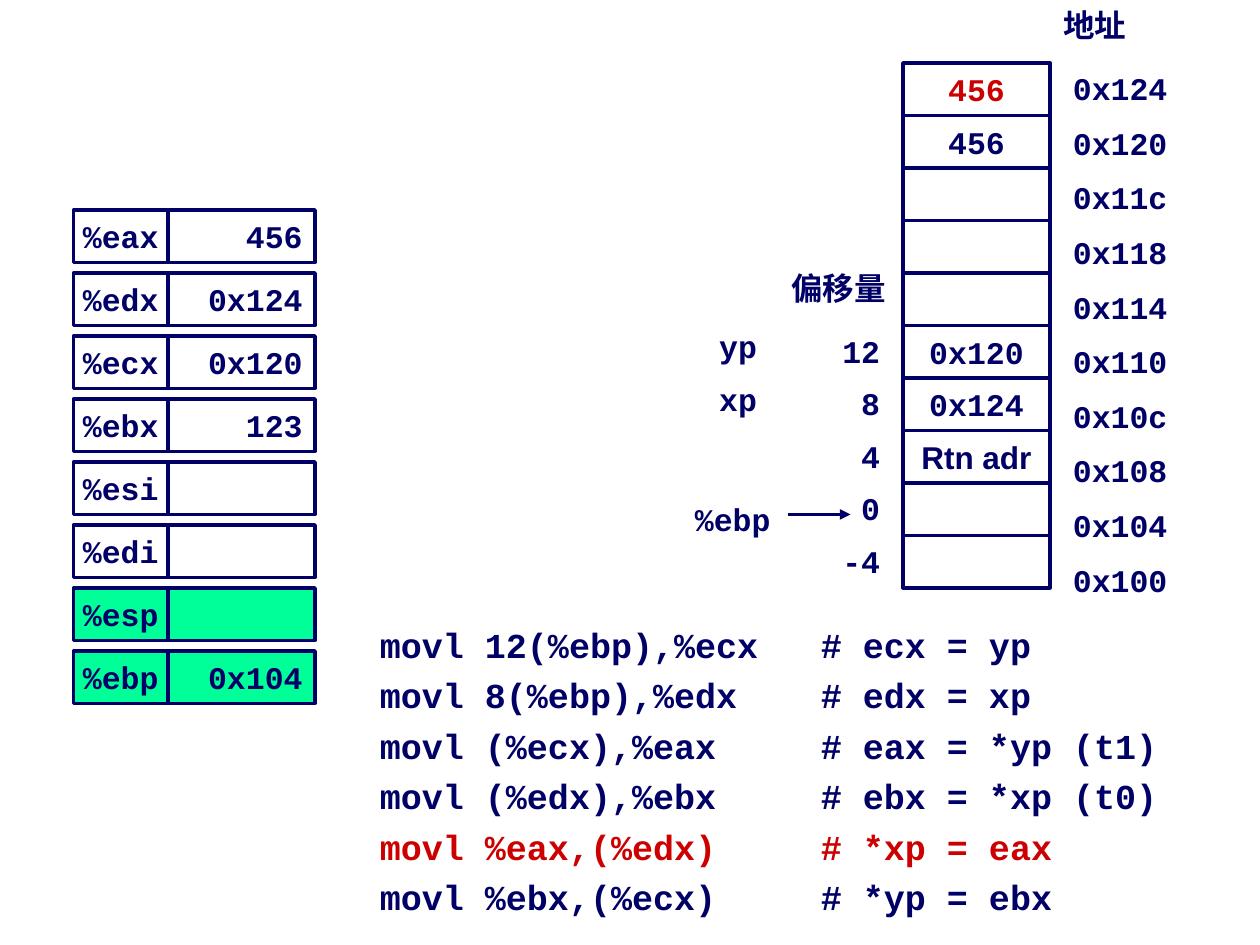
from dataclasses import dataclass

from lxml import etree
from pptx import Presentation
from pptx.dml.color import RGBColor
from pptx.enum.shapes import MSO_CONNECTOR, MSO_SHAPE
from pptx.enum.text import MSO_ANCHOR, PP_ALIGN
from pptx.oxml.ns import qn
from pptx.shapes.autoshape import Shape
from pptx.slide import Slide
from pptx.util import Emu, Pt

LEFT, CENTER, RIGHT = PP_ALIGN.LEFT, PP_ALIGN.CENTER, PP_ALIGN.RIGHT
TOP, MIDDLE = MSO_ANCHOR.TOP, MSO_ANCHOR.MIDDLE
RECTANGLE = MSO_SHAPE.RECTANGLE
STRAIGHT = MSO_CONNECTOR.STRAIGHT
EMU_PER_PX = 7620  # 120 px to the inch


@dataclass(frozen=True)
class Theme:
    navy: RGBColor = RGBColor(0x00, 0x00, 0x66)
    red: RGBColor = RGBColor(0xCC, 0x00, 0x00)
    white: RGBColor = RGBColor(0xFF, 0xFF, 0xFF)
    green: RGBColor = RGBColor(0x00, 0xFF, 0x99)
    mono: str = "Courier New"
    sans: str = "Arial"
    label_size: int = 18
    code_size: int = 20
    line_width: int = 2


THEME = Theme()


@dataclass(frozen=True)
class Register:
    name: str
    value: str = ""
    fill: RGBColor = THEME.white


@dataclass(frozen=True)
class StackWord:
    value: str = ""
    offset: str = ""
    argument: str = ""
    font: str = THEME.mono
    color: RGBColor = THEME.navy


@dataclass(frozen=True)
class Instruction:
    code: str
    comment: str
    color: RGBColor = THEME.navy


REGISTERS = [
    Register("%eax", "456"),
    Register("%edx", "0x124"),
    Register("%ecx", "0x120"),
    Register("%ebx", "123"),
    Register("%esi"),
    Register("%edi"),
    Register("%esp", fill=THEME.green),
    Register("%ebp", "0x104", THEME.green),
]
STACK = [
    StackWord("456", color=THEME.red),
    StackWord("456"),
    StackWord(),
    StackWord(),
    StackWord(),
    StackWord("0x120", "12", "yp"),
    StackWord("0x124", "8", "xp"),
    StackWord("Rtn adr", "4", font=THEME.sans),
    StackWord(offset="0"),
    StackWord(offset="-4"),
]
PROGRAM = [
    Instruction("movl 12(%ebp),%ecx", "# ecx = yp"),
    Instruction("movl 8(%ebp),%edx", "# edx = xp"),
    Instruction("movl (%ecx),%eax", "# eax = *yp (t1)"),
    Instruction("movl (%edx),%ebx", "# ebx = *xp (t0)"),
    Instruction("movl %eax,(%edx)", "# *xp = eax", THEME.red),
    Instruction("movl %ebx,(%ecx)", "# *yp = ebx"),
]
TOP_ADDRESS = 0x124
WORD_BYTES = 4
CELL_HEIGHT = 50
REGISTER_PITCH = 60
ADDRESS_PITCH = 52
CODE_TABS = (60, 480)


def px(length: int) -> Emu:
    return Emu(length * EMU_PER_PX)


def write(shape: Shape, text: str, *, font: str = THEME.mono, size: int = THEME.label_size,
          color: RGBColor = THEME.navy, align: PP_ALIGN = LEFT, anchor: MSO_ANCHOR = TOP,
          spacing: float = 1.0, wrap: bool = True, append: bool = False) -> None:
    """Put one formatted paragraph in a shape, after the others if append is set."""
    frame = shape.text_frame
    frame.word_wrap = wrap
    frame.vertical_anchor = anchor
    para = frame.add_paragraph() if append else frame.paragraphs[0]
    para.alignment = align
    para.line_spacing = spacing
    span = para.add_run()
    span.text = text
    span.font.name = font
    span.font.size = Pt(size)
    span.font.bold = True
    span.font.color.rgb = color


def add_box(page: Slide, left: int, top: int, width: int, height: int = 48) -> Shape:
    return page.shapes.add_textbox(px(left), px(top), px(width), px(height))


def add_cell(page: Slide, left: int, top: int, width: int, text: str = "", *,
             fill: RGBColor = THEME.white, **text_format) -> None:
    cell = page.shapes.add_shape(RECTANGLE, px(left), px(top), px(width), px(CELL_HEIGHT))
    cell.shadow.inherit = False
    cell.fill.solid()
    cell.fill.fore_color.rgb = fill
    cell.line.color.rgb = THEME.navy
    cell.line.width = Pt(THEME.line_width)
    if text:
        write(cell, text, anchor=MIDDLE, wrap=False, **text_format)


def add_arrow(page: Slide, left: int, right: int, y: int) -> None:
    arrow = page.shapes.add_connector(STRAIGHT, px(left), px(y), px(right), px(y))
    arrow.line.color.rgb = THEME.navy
    arrow.line.width = Pt(THEME.line_width)
    etree.SubElement(arrow.line._get_or_add_ln(), qn("a:tailEnd"), type="triangle")
    etree.SubElement(arrow._element.spPr, qn("a:effectLst"))


def draw_registers(page: Slide) -> None:
    for row, register in enumerate(REGISTERS):
        top = 200 + row * REGISTER_PITCH
        add_cell(page, 70, top, 90, register.name, fill=register.fill, align=CENTER)
        add_cell(page, 160, top, 140, register.value, fill=register.fill, align=RIGHT)


def draw_stack(page: Slide) -> None:
    write(add_box(page, 1001, 0, 100), "地址", font=THEME.sans)
    write(add_box(page, 742, 250, 120), "偏移量", font=THEME.sans)
    for row, word in enumerate(STACK):
        top = 60 + row * CELL_HEIGHT
        add_cell(page, 860, top, 140, word.value, font=word.font,
                 color=word.color, align=CENTER)
        address = f"0x{TOP_ADDRESS - row * WORD_BYTES:x}"
        write(add_box(page, 1010, 60 + row * ADDRESS_PITCH, 160), address)
        if word.offset:
            write(add_box(page, 780, top, 70), word.offset, align=RIGHT)
        if word.argument:
            write(add_box(page, 660, top, 86, 44), word.argument, align=CENTER, spacing=0.9)
    write(add_box(page, 650, 470, 100), "%ebp")
    add_arrow(page, 750, 810, 490)


def set_tabs(shape: Shape, stops: tuple[int, ...]) -> None:
    for para in shape.text_frame.paragraphs:
        tab_list = etree.SubElement(para._p.get_or_add_pPr(), qn("a:tabLst"))
        for stop in stops:
            etree.SubElement(tab_list, qn("a:tab"), pos=str(px(stop)), algn="l")


def draw_program(page: Slide) -> None:
    listing = add_box(page, 290, 580, 830, 300)
    for row, step in enumerate(PROGRAM):
        write(listing, f"\t{step.code}\t{step.comment}", size=THEME.code_size,
              color=step.color, spacing=1.2, append=row > 0)
    set_tabs(listing, CODE_TABS)


def main() -> None:
    deck = Presentation()
    deck.slide_width, deck.slide_height = px(1200), px(900)
    page = deck.slides.add_slide(deck.slide_layouts[6])
    draw_registers(page)
    draw_stack(page)
    draw_program(page)
    deck.save("out.pptx")


if __name__ == "__main__":
    main()
